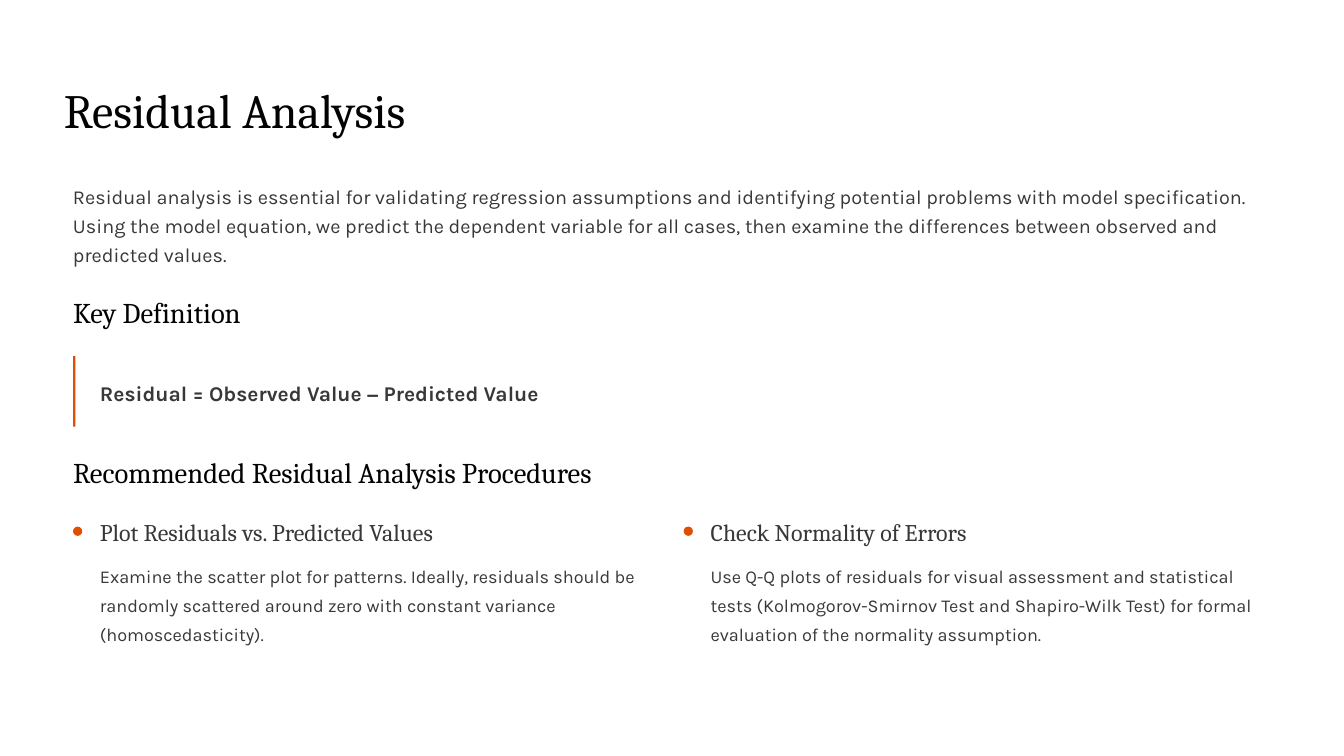
from dataclasses import dataclass

from pptx import Presentation
from pptx.dml.color import RGBColor
from pptx.enum.shapes import MSO_SHAPE
from pptx.util import Pt


@dataclass(frozen=True)
class Theme:
    paper: str = "FFFFFF"
    ink: str = "020202"
    body: str = "383838"
    accent: str = "E04F00"
    serif: str = "Cambria"
    sans: str = "Karla"
    # Each style: font, size, line spacing, colour, bold
    title: tuple = (serif, 41, 51, ink, False)
    heading: tuple = (serif, 24.5, 30.5, ink, False)
    subheading: tuple = (serif, 20.5, 25.5, body, False)
    intro: tuple = (sans, 17, 25, body, False)
    formula: tuple = (sans, 18, 25, body, True)
    detail: tuple = (sans, 15.5, 25, body, False)


theme = Theme()

deck = Presentation()
deck.slide_width, deck.slide_height = Pt(1152), Pt(648)
page = deck.slides.add_slide(deck.slide_layouts[6])
page.background.fill.solid()
page.background.fill.fore_color.rgb = RGBColor.from_string(theme.paper)


def add_text(text, left, top, width, height, style, wrap=False):
    font_name, size, spacing, color, bold = style
    box = page.shapes.add_textbox(Pt(left), Pt(top), Pt(width), Pt(height))
    frame = box.text_frame
    frame.margin_left = frame.margin_right = 0
    frame.margin_top = frame.margin_bottom = 0
    frame.word_wrap = wrap
    frame.text = text
    para = frame.paragraphs[0]
    para.line_spacing = Pt(spacing)
    for span in para.runs:
        span.font.name = font_name
        span.font.size = Pt(size)
        span.font.bold = bold
        span.font.color.rgb = RGBColor.from_string(color)


def add_accent(kind, left, top, width, height):
    mark = page.shapes.add_shape(kind, Pt(left), Pt(top), Pt(width), Pt(height))
    mark.shadow.inherit = False
    mark.fill.solid()
    mark.fill.fore_color.rgb = RGBColor.from_string(theme.accent)
    mark.line.fill.background()


margin = 62.6
indent = 23.1
column_step = 523.4

# Title and introduction
add_text("Residual Analysis", 54.7, 67.7, 410.4, 51.1, theme.title)
add_text(
    "Residual analysis is essential for validating regression assumptions and "
    "identifying potential problems with model specification. Using the model "
    "equation, we predict the dependent variable for all cases, then examine the "
    "differences between observed and predicted values.",
    margin, 153.4, 1026.7, 49.7, theme.intro, wrap=True)

# Section headings
add_text("Key Definition", margin, 251.3, 246.2, 31, theme.heading)
add_text("Recommended Residual Analysis Procedures",
         margin, 388.8, 486, 31, theme.heading)

# Definition with side bar
add_accent(MSO_SHAPE.RECTANGLE, margin, 305.3, 2, 60.5)
add_text("Residual = Observed Value − Predicted Value",
         margin + indent, 322.6, 1003.7, 25.2, theme.formula)

# Procedures in two columns
procedures = [
    ("Plot Residuals vs. Predicted Values",
     "Examine the scatter plot for patterns. Ideally, residuals should be randomly "
     "scattered around zero with constant variance (homoscedasticity)."),
    ("Check Normality of Errors",
     "Use Q-Q plots of residuals for visual assessment and statistical tests "
     "(Kolmogorov-Smirnov Test and Shapiro-Wilk Test) for formal evaluation of "
     "the normality assumption."),
]
for column, (name, detail) in enumerate(procedures):
    left = margin + column * column_step
    add_accent(MSO_SHAPE.OVAL, left, 451.4, 7.9, 7.9)
    add_text(name, left + indent, 442.8, 313.9, 25.9, theme.subheading)
    add_text(detail, left + indent, 478.1, 480.2, 74.9, theme.detail, wrap=True)

deck.save("out.pptx")
